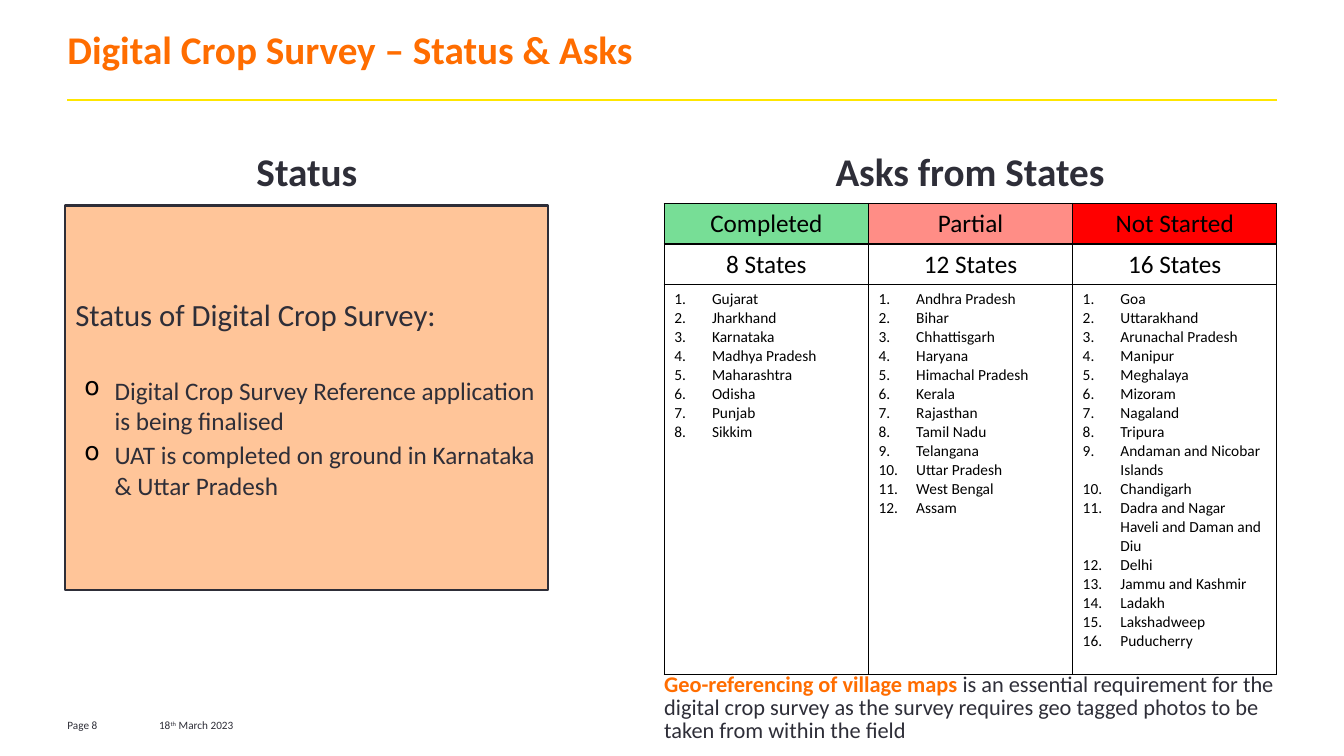
from lxml.etree import SubElement
from pptx import Presentation
from pptx.dml.color import RGBColor
from pptx.enum.shapes import MSO_CONNECTOR, MSO_SHAPE
from pptx.enum.text import MSO_ANCHOR, PP_ALIGN
from pptx.oxml.ns import qn
from pptx.util import Cm, Pt

HUES = {
    "ink": "2E2E38", "orange": "FF6D00", "yellow": "FFE600", "peach": "FFC599",
    "black": "000000", "white": "FFFFFF",
    "green": "77DE96", "pink": "FF8D86", "red": "FF0000",
}
MAIN = {"size": Pt(28), "bold": True}
FLUSH = (0, 0, 0, 0)
INSET = (0.25, 0.13, 0.25, 0.13)
STATES = [
    ("Completed", "green", ["Gujarat", "Jharkhand", "Karnataka", "Madhya Pradesh",
                            "Maharashtra", "Odisha", "Punjab", "Sikkim"]),
    ("Partial", "pink", ["Andhra Pradesh", "Bihar", "Chhattisgarh", "Haryana",
                         "Himachal Pradesh", "Kerala", "Rajasthan", "Tamil Nadu",
                         "Telangana", "Uttar Pradesh", "West Bengal", "Assam"]),
    ("Not Started", "red", ["Goa", "Uttarakhand", "Arunachal Pradesh", "Manipur",
                            "Meghalaya", "Mizoram", "Nagaland", "Tripura",
                            "Andaman and Nicobar Islands", "Chandigarh",
                            "Dadra and Nagar Haveli and Daman and Diu", "Delhi",
                            "Jammu and Kashmir", "Ladakh", "Lakshadweep", "Puducherry"]),
]
POINTS = ["Digital Crop Survey Reference application is being finalised",
          "UAT is completed on ground in Karnataka & Uttar Pradesh"]


def hue(name):
    return RGBColor.from_string(HUES[name])


def apply(item, form):
    for key, value in form.items():
        setattr(item, key, value)


def write(para, text, color, **form):
    run = para.add_run()
    run.text = text
    apply(run.font, {"name": "Calibri", **form})
    run.font.color.rgb = hue(color)
    return run


def indent(para, left, hang):
    props = para._p.get_or_add_pPr()
    props.set("marL", str(Cm(left)))
    props.set("indent", str(-Cm(hang)))
    return props


def fill(item, color):
    item.fill.solid()
    item.fill.fore_color.rgb = hue(color)


def frame(shape, inset, anchor):
    text = shape.text_frame
    sides = ("margin_left", "margin_top", "margin_right", "margin_bottom")
    apply(text, {"word_wrap": True, "vertical_anchor": anchor,
                 **{side: Cm(gap) for side, gap in zip(sides, inset)}})
    return text


def label(slide, box, inset=FLUSH, anchor=MSO_ANCHOR.TOP, **form):
    shape = slide.shapes.add_textbox(*map(Cm, box))
    para = frame(shape, inset, anchor).paragraphs[0]
    apply(para, form)
    return para


def header(slide, box):
    left, top, width, height = box
    para = label(slide, (left, top, width, 1.65), line_spacing=0.85)
    write(para, "Digital Crop Survey – Status & Asks", "orange", **MAIN)
    base = Cm(top + height)
    rule = slide.shapes.add_connector(
        MSO_CONNECTOR.STRAIGHT, Cm(left), base, Cm(left + width), base)
    rule.line.color.rgb = hue("yellow")
    rule.line.width = Pt(1.5)
    SubElement(rule._element.spPr, qn("a:effectLst"))


def heading(slide, box, text):
    para = label(slide, box, anchor=MSO_ANCHOR.BOTTOM,
                 alignment=PP_ALIGN.CENTER, line_spacing=0.85)
    write(para, text, "ink", **MAIN)


def status(slide, box):
    panel = slide.shapes.add_shape(MSO_SHAPE.RECTANGLE, *map(Cm, box))
    panel.shadow.inherit = False
    fill(panel, "peach")
    panel.line.color.rgb = hue("ink")
    panel.line.width = Pt(1.5)
    text = frame(panel, INSET, MSO_ANCHOR.MIDDLE)
    lead = text.paragraphs[0]
    lead.alignment = PP_ALIGN.LEFT
    write(lead, "Status of Digital Crop Survey:", "ink", size=Pt(22))
    for point, gap in zip(POINTS, (30, 3)):
        para = text.add_paragraph()
        props = indent(para, 0.99, 0.76)
        tint = SubElement(props, qn("a:buClr"))
        SubElement(tint, qn("a:srgbClr"), val=HUES["black"])
        SubElement(props, qn("a:buChar"), char="o")
        apply(para, {"alignment": PP_ALIGN.LEFT, "space_before": Pt(gap)})
        write(para, point, "ink", size=Pt(18))


def border(cell):
    props = cell._tc.get_or_add_tcPr()
    for spot, side in enumerate(("lnL", "lnR", "lnT", "lnB")):
        line = props.makeelement(qn("a:" + side), {"w": str(Pt(1))})
        solid = SubElement(line, qn("a:solidFill"))
        SubElement(solid, qn("a:srgbClr"), val=HUES["black"])
        props.insert(spot, line)


def asks(slide, box):
    left, top, width, height = box
    table = slide.shapes.add_table(3, len(STATES), *map(Cm, box)).table
    apply(table, {"first_row": False, "horz_banding": False})
    small = 1.02
    for row, tall in zip(table.rows, (small, small, height - 2 * small)):
        row.height = Cm(tall)
    for col, (title, color, names) in enumerate(STATES):
        table.columns[col].width = Cm(width / len(STATES))
        heads = (title, f"{len(names)} States")
        for row, tone in enumerate((color, "white", "white")):
            cell = table.cell(row, col)
            fill(cell, tone)
            border(cell)
            text = cell.text_frame
            if row < 2:
                para = text.paragraphs[0]
                para.alignment = PP_ALIGN.CENTER
                write(para, heads[row], "black", size=Pt(18))
                continue
            for spot, name in enumerate(names):
                para = text.add_paragraph() if spot else text.paragraphs[0]
                props = indent(para, 0.95, 0.95)
                SubElement(props, qn("a:buFont"), typeface="+mj-lt")
                SubElement(props, qn("a:buAutoNum"), type="arabicPeriod")
                write(para, name, "black", size=Pt(11))


def note(slide, box):
    para = label(slide, box, line_spacing=0.85)
    write(para, "Geo-referencing of village maps ", "orange", size=Pt(16), bold=True)
    write(para, "is an essential requirement for the digital crop survey as the survey "
          "requires geo tagged photos to be taken from within the field",
          "ink", size=Pt(16))


def footer(slide, box):
    left, top, width, height = box
    page = label(slide, (left, top, 1.83, height), (0, 0.13, 0.25, 0.13))
    write(page, "Page 8", "ink", size=Pt(8))
    date = label(slide, (left + 2.06, top, width - 2.06, height), INSET)
    for text, lift in (("18", 0), ("th", 30000), (" March 2023", 0)):
        run = write(date, text, "ink", size=Pt(8))
        if lift:
            run._r.get_or_add_rPr().set("baseline", str(lift))


def main():
    deck = Presentation()
    apply(deck, {"slide_width": Cm(33.87), "slide_height": Cm(19.05)})
    slide = deck.slides.add_slide(deck.slide_layouts[6])
    footer(slide, (1.7, 17.98, 5.36, 0.51))
    header(slide, (1.7, 0.81, 30.48, 1.7))
    asks(slide, (16.74, 5.13, 15.44, 11.87))
    note(slide, (16.74, 16.99, 15.44, 1.65))
    status(slide, (1.65, 5.18, 12.17, 9.7))
    for left, text in ((1.65, "Status"), (18.36, "Asks from States")):
        heading(slide, (left, 3.25, 12.17, 1.65), text)
    deck.save("out.pptx")


if __name__ == "__main__":
    main()
